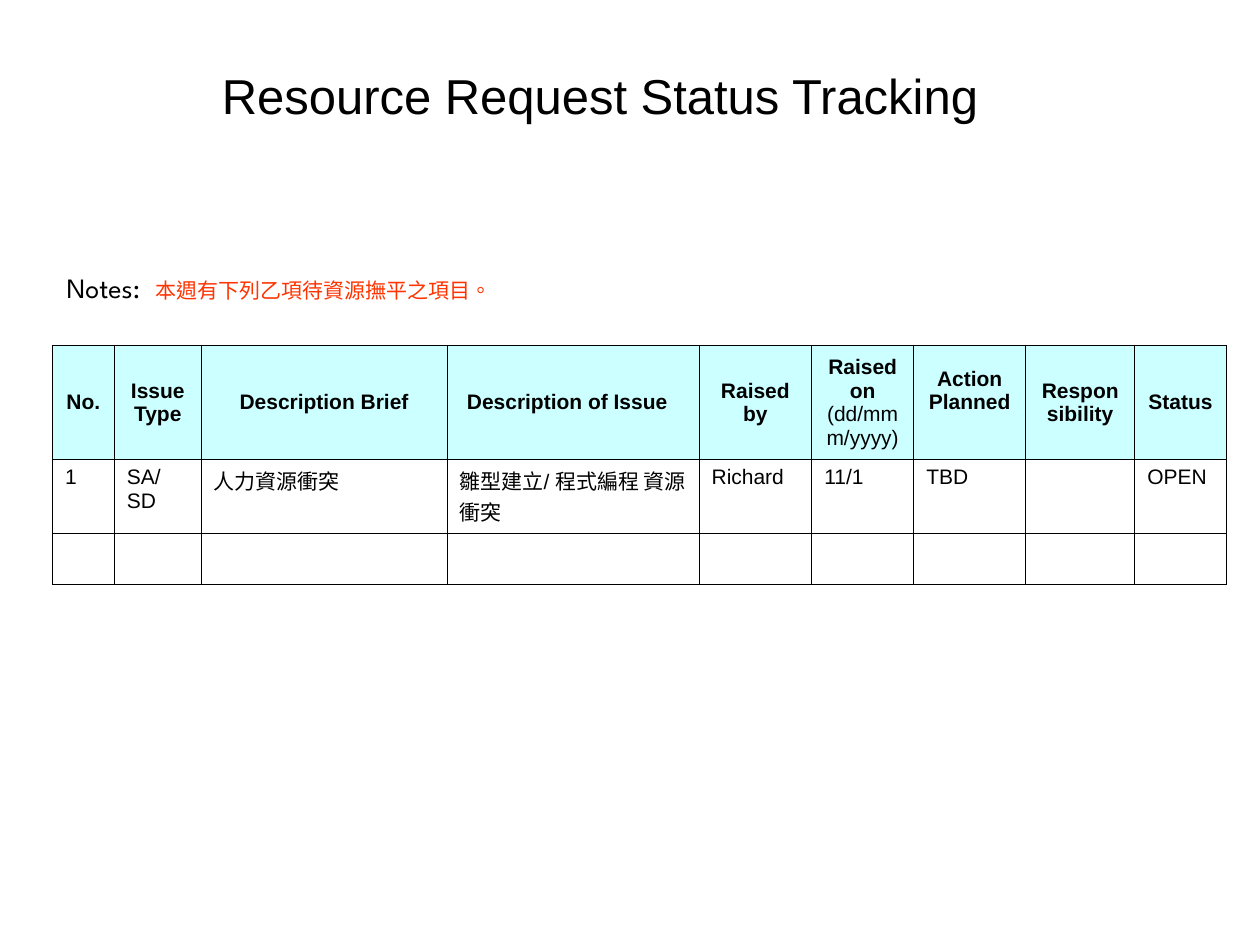
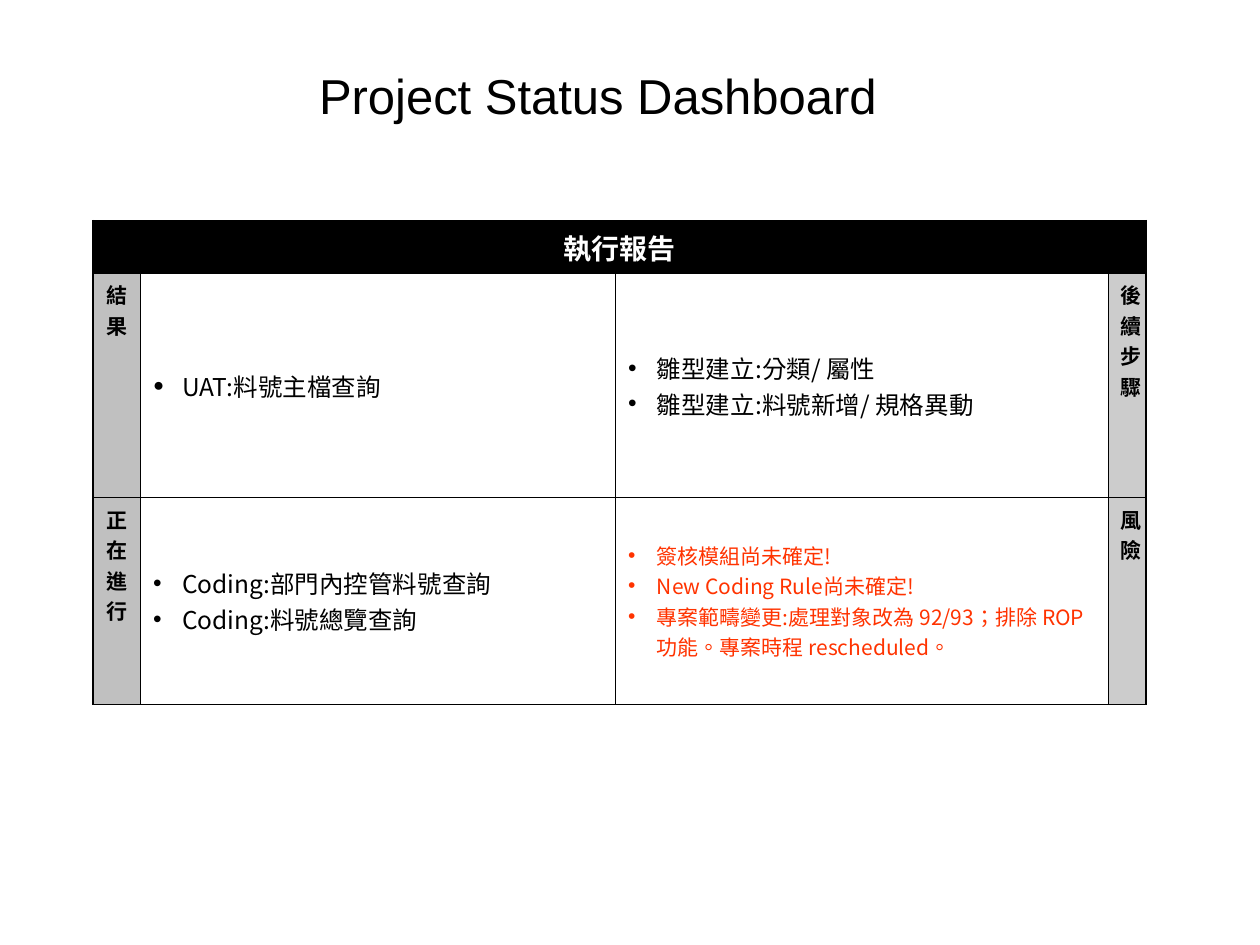
from lxml import etree
from pptx import Presentation
from pptx.dml.color import RGBColor
from pptx.enum.text import MSO_ANCHOR, PP_ALIGN
from pptx.oxml.ns import qn
from pptx.util import Pt

LEFT, CENTER = PP_ALIGN.LEFT, PP_ALIGN.CENTER
TOP, MIDDLE = MSO_ANCHOR.TOP, MSO_ANCHOR.MIDDLE

THEME = {
    "black": "000000", "white": "FFFFFF", "alert": "FF3300", "header": "CCFFFF",
    "label": "C0C0C0", "end_label": "CCCCCC",
    "font": "Arial", "cjk": "Noto Sans CJK TC", "notes": "League Spartan",
    "title": Pt(28), "heading": Pt(16), "item": Pt(14), "body": Pt(12),
    "thin": Pt(0.45), "thick": Pt(0.96),
}


def add_run(p, text, color="black", **fmt):
    r = p.add_run()
    r.text = text
    for key, value in {"name": THEME["font"], "size": THEME["body"], "bold": False, **fmt}.items():
        setattr(r.font, key, value)
    r.font.color.rgb = RGBColor.from_string(THEME[color])
    rPr = r.font._element
    rPr.set("lang", "en-US" if text.isascii() else "zh-TW")
    etree.SubElement(rPr, qn("a:ea"), typeface=THEME["cjk"])


def format_cell(cell, fill, anchor, borders):
    cell.vertical_anchor = anchor
    cell.margin_left = cell.margin_right = Pt(7.2)
    cell.margin_top = cell.margin_bottom = Pt(3.6)
    if fill:
        cell.fill.solid()
        cell.fill.fore_color.rgb = RGBColor.from_string(THEME[fill])
    else:
        cell.fill.background()
    tcPr = cell._tc.get_or_add_tcPr()
    for i, (side, weight) in enumerate(zip("LRTB", borders)):
        ln = etree.Element(qn(f"a:ln{side}"), w=str(THEME[weight]))
        solid = etree.SubElement(ln, qn("a:solidFill"))
        etree.SubElement(solid, qn("a:srgbClr"), val=THEME["black"])
        tcPr.insert(i, ln)


prs = Presentation()
prs.slide_width, prs.slide_height = Pt(720), Pt(540)

slides = []
for title, left, width in [
    ("Resource Request Status Tracking", 31, 623.5),
    ("Project Status Dashboard ", 36, 619),
]:
    s = prs.slides.add_slide(prs.slide_layouts[6])
    tf = s.shapes.add_textbox(Pt(left), Pt(31.5), Pt(width), Pt(45.5)).text_frame
    tf.word_wrap = True
    tf.vertical_anchor = MIDDLE
    tf.paragraphs[0].alignment = CENTER
    add_run(tf.paragraphs[0], title, size=THEME["title"])
    slides.append(s)
tracking, dashboard = slides

tf = tracking.shapes.add_textbox(Pt(31), Pt(151.2), Pt(660), Pt(26.6)).text_frame
tf.word_wrap = True
p = tf.paragraphs[0]
tabs = etree.SubElement(p._p.get_or_add_pPr(), qn("a:tabLst"))
etree.SubElement(tabs, qn("a:tab"), pos=str(Pt(50.8)), algn="l")
add_run(p, "Notes:\t", name=THEME["notes"], size=THEME["heading"])
add_run(p, "本週有下列乙項待資源撫平之項目。", "alert", name=THEME["notes"])

columns = [
    ("No.", 35.3, "1"),
    ("Issue Type", 49.8, "SA/SD"),
    ("Description Brief", 140.4, "人力資源衝突"),
    ("Description of Issue", 144, "雛型建立/ 程式編程 資源衝突"),
    ("Raised by", 64.4, "Richard"),
    ("Raised on", 58.3, "11/1"),
    ("Action Planned", 64, "TBD"),
    ("Responsibility", 62.4, ""),
    ("Status", 52.2, "OPEN"),
]
row_heights = (64.8, 42.4, 27.4)
requests = tracking.shapes.add_table(
    3, len(columns), Pt(30), Pt(197.6), Pt(sum(c[1] for c in columns)), Pt(sum(row_heights))).table
requests.first_row = requests.horz_banding = False
for row, height in zip(requests.rows, row_heights):
    row.height = Pt(height)
for col, (heading, width, value) in enumerate(columns):
    requests.columns[col].width = Pt(width)
    for row, text in enumerate((heading, value, "")):
        is_header = row == 0
        cell = requests.cell(row, col)
        format_cell(cell, "header" if is_header else None, MIDDLE if is_header else TOP, ["thin"] * 4)
        p = cell.text_frame.paragraphs[0]
        p.alignment = CENTER if is_header else LEFT
        if text:
            add_run(p, text, bold=is_header)
        if text == "Raised on":
            p.add_line_break()
            add_run(p, "(dd/mmm/yyyy)")
        elif text == "Description of Issue":
            cell.margin_right = Pt(13.8)
        elif text == "Action Planned":
            cell.margin_bottom = Pt(17.4)
        elif text == "Status":
            cell.margin_left = cell.margin_right = Pt(5)

widths, heights = (27.3, 271.4, 281.5, 21.6), (30.2, 128.2, 118.1)
report = dashboard.shapes.add_table(
    3, 4, Pt(53), Pt(126), Pt(sum(widths)), Pt(sum(heights))).table
report.first_row = report.horz_banding = False
for column, width in zip(report.columns, widths):
    column.width = Pt(width)
for row, height in zip(report.rows, heights):
    row.height = Pt(height)
fills = ("label", None, None, "end_label")
for row in range(3):
    for col in range(4):
        is_outer = (col == 0, col == 3, row == 0, row == 2)
        format_cell(report.cell(row, col), fills[col] if row else "black",
                    TOP if row and fills[col] else MIDDLE,
                    ["thick" if outer else "thin" for outer in is_outer])
report.cell(0, 0).merge(report.cell(0, 3))

labels = [
    (0, 0, "執行報告", CENTER, "white", "heading"),
    (1, 0, "結果", CENTER, "black", "body"),
    (1, 3, "後續步驟", LEFT, "black", "body"),
    (2, 0, "正在進行", CENTER, "black", "body"),
    (2, 3, "風險", LEFT, "black", "body"),
]
for row, col, text, align, color, size in labels:
    p = report.cell(row, col).text_frame.paragraphs[0]
    p.alignment = align
    add_run(p, text, color, name=THEME["cjk"], size=THEME[size], bold=True)

quadrants = [
    (1, 1, "●", 75, "black", "item", ["UAT:料號主檔查詢"]),
    (1, 2, "•", 100, "black", "item", ["雛型建立:分類/ 屬性", "雛型建立:料號新增/ 規格異動"]),
    (2, 1, "•", 100, "black", "item", ["Coding:部門內控管料號查詢", "Coding:料號總覽查詢"]),
    (2, 2, "•", 100, "alert", "body", [
        "簽核模組尚未確定!",
        "New Coding Rule尚未確定!",
        "專案範疇變更:處理對象改為 92/93；排除 ROP功能。專案時程 rescheduled。",
    ]),
]
for row, col, bullet, percent, color, size, items in quadrants:
    tf = report.cell(row, col).text_frame
    for i, item in enumerate(items):
        p = tf.add_paragraph() if i else tf.paragraphs[0]
        pPr = p._p.get_or_add_pPr()
        pPr.set("marL", str(Pt(16.5)))
        pPr.set("indent", str(-Pt(16.5)))
        clr = etree.SubElement(pPr, qn("a:buClr"))
        etree.SubElement(clr, qn("a:srgbClr"), val=THEME[color])
        etree.SubElement(pPr, qn("a:buSzPct"), val=str(percent * 1000))
        etree.SubElement(pPr, qn("a:buFont"), typeface=THEME["font"])
        etree.SubElement(pPr, qn("a:buChar"), char=bullet)
        add_run(p, item, color, name=THEME["cjk"], size=THEME[size])

prs.save("out.pptx")
